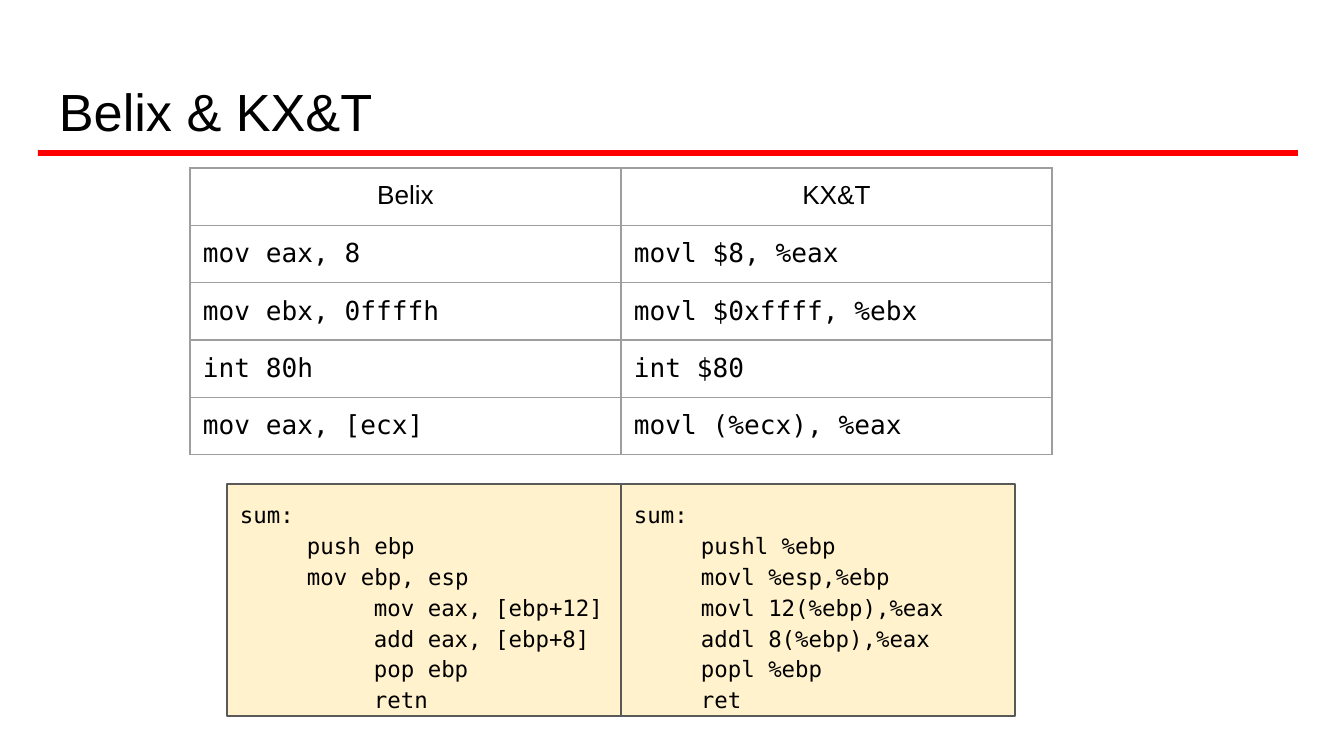
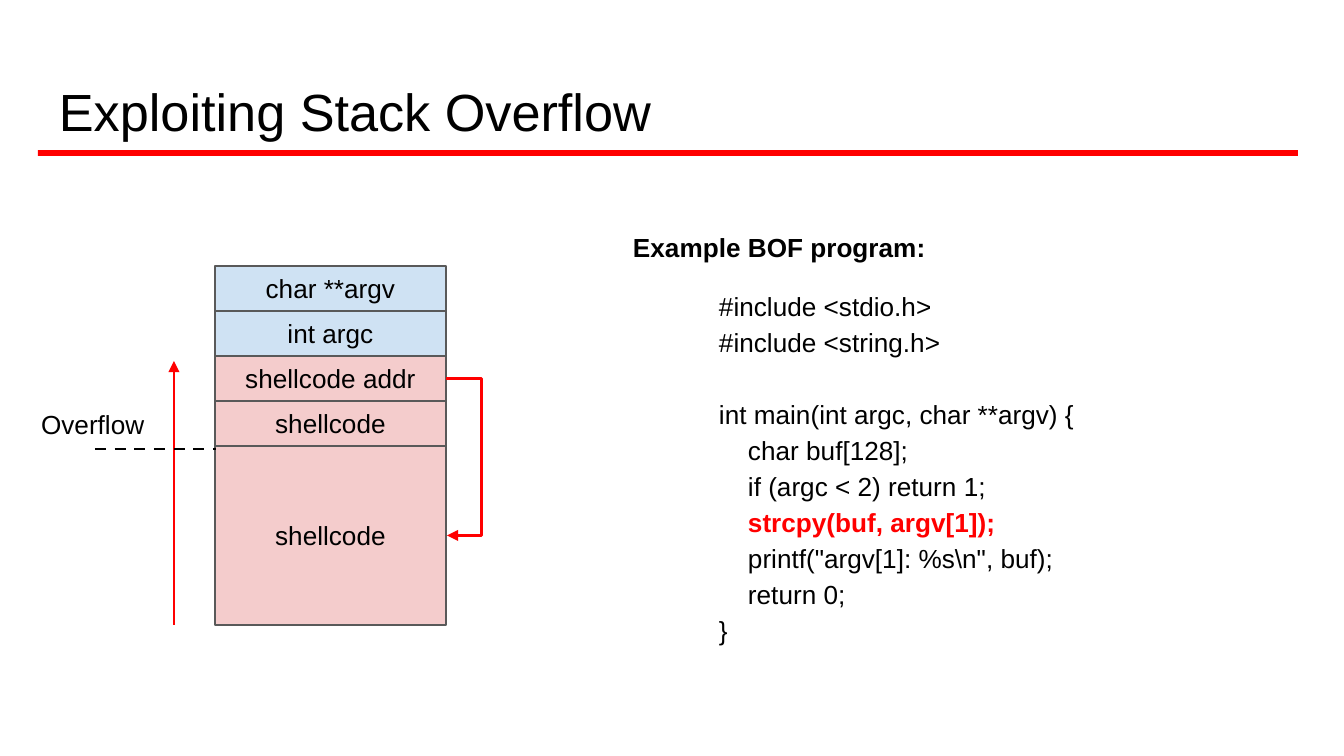
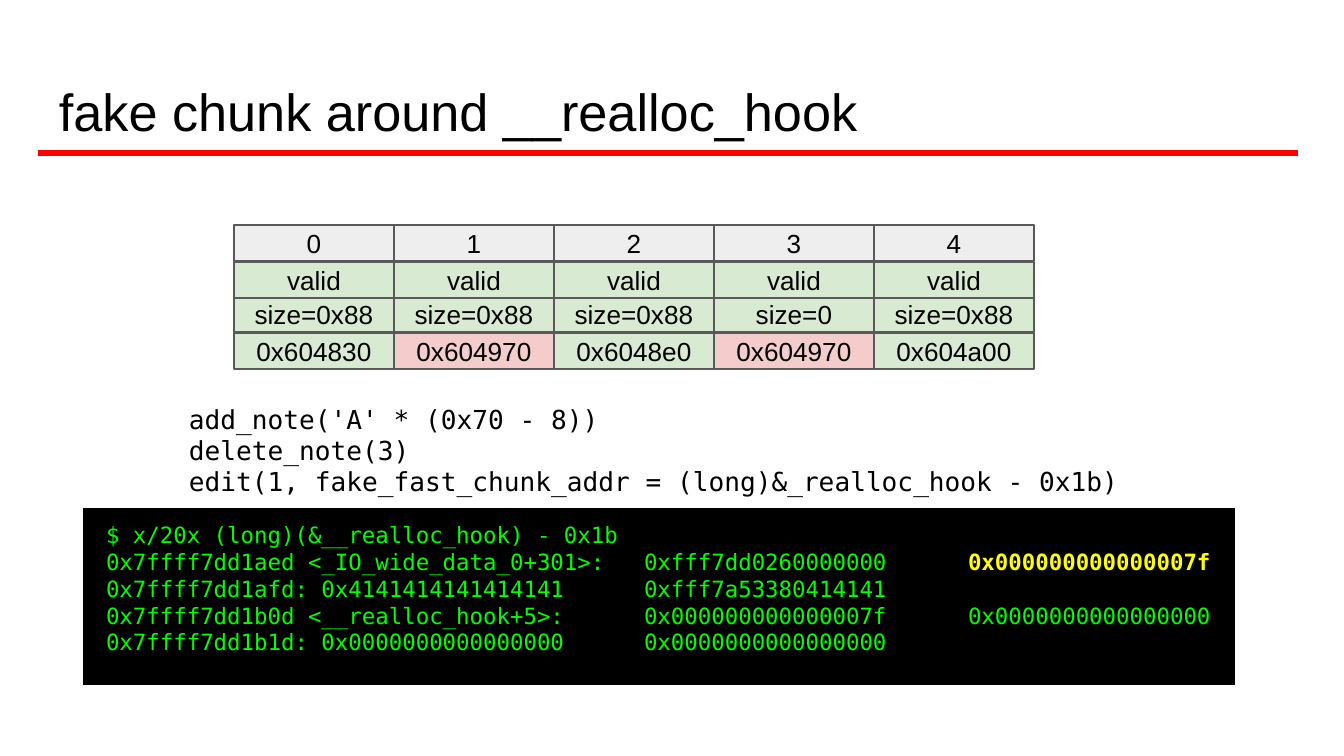
from dataclasses import dataclass

import lxml.etree
import pptx
import pptx.dml.color
import pptx.enum.dml
import pptx.enum.shapes
import pptx.enum.text
import pptx.oxml.ns
import pptx.util

ALIGN = pptx.enum.text.PP_ALIGN
ANCHOR = pptx.enum.text.MSO_ANCHOR
CONNECTOR = pptx.enum.shapes.MSO_CONNECTOR
EMU_PER_PX = 9144000 / 1344
qn = pptx.oxml.ns.qn


@dataclass(frozen=True)
class Theme:
    black: str = "000000"
    red: str = "FF0000"
    border: str = "595959"
    grid: str = "9E9E9E"
    cream: str = "FFF2CC"
    blue: str = "CFE2F3"
    pink: str = "F4CCCC"
    green: str = "D9EAD3"
    grey: str = "EEEEEE"
    terminal: str = "00FF00"
    highlight: str = "FFFF00"
    sans: str = "Arial"
    mono: str = "DejaVu Sans Mono"
    title: int = 28
    body: int = 14
    code: int = 12
    thin: float = 0.75
    arrow: float = 1.5
    inset: int = 13


THEME = Theme()


@dataclass
class Line:
    text: str
    indent: int = 0
    strong: str = ""
    before: int = 0


def px(length):
    return pptx.util.Emu(round(length * EMU_PER_PX))


def rgb(color):
    return pptx.dml.color.RGBColor.from_string(color)


def style_run(run, font, size, color, bold=False):
    run.font.name = font
    run.font.size = pptx.util.Pt(size)
    run.font.color.rgb = rgb(color)
    run.font.bold = bold


def add_tab_stops(paragraph, stops):
    tabs = lxml.etree.SubElement(paragraph._p.get_or_add_pPr(), qn("a:tabLst"))
    for stop in stops:
        lxml.etree.SubElement(tabs, qn("a:tab"), pos=str(px(stop)), algn="l")


def write(frame, lines, font=THEME.sans, size=THEME.body, color=THEME.black,
          bold=False, align=ALIGN.LEFT, anchor=ANCHOR.TOP, spacing=None,
          strong_color=THEME.red, tab_stops=(), left=THEME.inset, bottom=THEME.inset):
    frame.word_wrap = True
    frame.vertical_anchor = anchor
    frame.margin_left, frame.margin_bottom = px(left), px(bottom)
    frame.margin_top = frame.margin_right = px(THEME.inset)
    for index, line in enumerate(lines):
        paragraph = frame.add_paragraph() if index else frame.paragraphs[0]
        paragraph.text = line.text
        paragraph.alignment = align
        if spacing:
            paragraph.line_spacing = spacing
        if line.before:
            paragraph.space_before = px(line.before)
        if line.indent:
            properties = paragraph._p.get_or_add_pPr()
            properties.set("marL", str(px(line.indent)))
            properties.set("indent", "0")
        if tab_stops:
            add_tab_stops(paragraph, tab_stops)
        for run in paragraph.runs:
            style_run(run, font, size, color, bold)
        if line.strong:
            strong = paragraph.add_run()
            strong.text = line.strong
            style_run(strong, font, size, strong_color, True)


def add_text(slide, box, lines, **style):
    text = slide.shapes.add_textbox(*map(px, box))
    write(text.text_frame, lines, **style)


def add_box(slide, box, fill, lines=(), border=THEME.border, **style):
    block = slide.shapes.add_shape(
        pptx.enum.shapes.MSO_SHAPE.RECTANGLE, *map(px, box))
    block.shadow.inherit = False
    block.fill.solid()
    block.fill.fore_color.rgb = rgb(fill)
    if border:
        block.line.color.rgb = rgb(border)
        block.line.width = pptx.util.Pt(THEME.thin)
    else:
        block.line.fill.background()
    write(block.text_frame, lines, **style)
    return block


def add_label_box(slide, box, fill, label):
    return add_box(slide, box, fill, [Line(label)],
                   align=ALIGN.CENTER, anchor=ANCHOR.MIDDLE)


def style_connector(connector, color, arrow=False, dashed=False):
    connector.line.color.rgb = rgb(color)
    connector.line.width = pptx.util.Pt(THEME.arrow)
    if dashed:
        connector.line.dash_style = pptx.enum.dml.MSO_LINE.DASH
    if arrow:
        lxml.etree.SubElement(connector.line._get_or_add_ln(), qn("a:tailEnd"),
                              type="triangle")
    lxml.etree.SubElement(connector._element.spPr, qn("a:effectLst"))


def add_line(slide, start, end, color, **style):
    line = slide.shapes.add_connector(CONNECTOR.STRAIGHT, *map(px, start + end))
    style_connector(line, color, **style)


def add_return_arrow(slide, source, target, reach):
    right = source.left + source.width
    jump = slide.shapes.add_connector(
        CONNECTOR.ELBOW, right, source.top, right + px(1), target.top + target.height)
    jump.begin_connect(source, 3)
    jump.end_connect(target, 3)
    jump.width = px(1)
    guides = jump._element.spPr.find(qn("a:prstGeom")).find(qn("a:avLst"))
    lxml.etree.SubElement(guides, qn("a:gd"), name="adj1", fmla=f"val {reach * 100000}")
    style_connector(jump, THEME.red, arrow=True)


def add_cell_borders(cell):
    properties = cell._tc.get_or_add_tcPr()
    for side in ("lnL", "lnR", "lnT", "lnB"):
        edge = lxml.etree.SubElement(properties, qn(f"a:{side}"),
                                     w=str(pptx.util.Pt(THEME.thin)))
        fill = lxml.etree.SubElement(edge, qn("a:solidFill"))
        lxml.etree.SubElement(fill, qn("a:srgbClr"), val=THEME.grid)


def add_syntax_table(slide, left, top, column_width, row_height, rows):
    columns = len(rows[0])
    table = slide.shapes.add_table(
        len(rows), columns, px(left), px(top),
        px(column_width * columns), px(row_height * len(rows))).table
    table.first_row = table.horz_banding = False
    for row_index, row in enumerate(rows):
        header = row_index == 0
        for column_index, text in enumerate(row):
            cell = table.cell(row_index, column_index)
            write(cell.text_frame, [Line(text)],
                  font=THEME.sans if header else THEME.mono,
                  align=ALIGN.CENTER if header else ALIGN.LEFT)
            cell.margin_left = cell.margin_right = px(THEME.inset)
            cell.margin_top = cell.margin_bottom = px(THEME.inset)
            add_cell_borders(cell)
            cell.fill.background()


def add_titled_slide(deck, title):
    slide = deck.slides.add_slide(deck.slide_layouts[6])
    add_box(slide, (38, 150, 1260, 6), THEME.red, border=None)
    add_text(slide, (46, 66, 1253, 85), [Line(title)], size=THEME.title,
             anchor=ANCHOR.BOTTOM, bottom=9)
    return slide


def build_syntax_slide(deck):
    slide = add_titled_slide(deck, "Belix & KX&T")
    add_syntax_table(slide, 190, 168, 431, 50, [
        ("Belix", "KX&T"),
        ("mov eax, 8", "movl $8, %eax"),
        ("mov ebx, 0ffffh", "movl $0xffff, %ebx"),
        ("int 80h", "int $80"),
        ("mov eax, [ecx]", "movl (%ecx), %eax"),
    ])
    tab = 67
    listings = [
        [(0, "sum:"), (1, "push ebp"), (1, "mov ebp, esp"),
         (2, "mov eax, [ebp+12]"), (2, "add eax, [ebp+8]"),
         (2, "pop ebp"), (2, "retn")],
        [(0, "sum:"), (1, "pushl %ebp"), (1, "movl %esp,%ebp"),
         (1, "movl 12(%ebp),%eax"), (1, "addl 8(%ebp),%eax"),
         (1, "popl %ebp"), (1, "ret")],
    ]
    width = 394
    for index, listing in enumerate(listings):
        add_box(slide, (227 + index * width, 484, width, 232), THEME.cream,
                [Line(text, level * tab) for level, text in listing],
                font=THEME.mono, size=THEME.code, spacing=1.15)


def build_overflow_slide(deck):
    slide = add_titled_slide(deck, "Exploiting Stack Overflow")
    step = 29
    add_text(slide, (706, 273, 563, 396), [
        Line("#include <stdio.h>"),
        Line("#include <string.h>"),
        Line("int main(int argc, char **argv) {", before=36),
        Line("char buf[128];", step),
        Line("if (argc < 2) return 1;", step),
        Line("", step, strong="strcpy(buf, argv[1]);"),
        Line('printf("argv[1]: %s\\n", buf);', step),
        Line("return 0;", step),
        Line("}"),
    ], spacing=1.15)
    add_text(slide, (620, 228, 367, 38), [Line("Example BOF program:")],
             bold=True, anchor=ANCHOR.MIDDLE)

    stack = []
    top = 266
    for label, fill, height in [
        ("char **argv", THEME.blue, 45),
        ("int argc", THEME.blue, 45),
        ("shellcode addr", THEME.pink, 45),
        ("shellcode", THEME.pink, 45),
        ("shellcode", THEME.pink, 179),
    ]:
        stack.append(add_label_box(slide, (215, top, 231, height), fill, label))
        top += height
    add_return_arrow(slide, stack[2], stack[4], 35)
    add_line(slide, (174, top), (174, 361), THEME.red, arrow=True)
    add_line(slide, (95, 449), (216, 449), THEME.black, dashed=True)
    add_text(slide, (28, 395, 130, 46), [Line("Overflow")])


def build_fake_chunk_slide(deck):
    slide = add_titled_slide(deck, "fake chunk around __realloc_hook")
    add_text(slide, (176, 390, 1039, 242), [
        Line("add_note('A' * (0x70 - 8))"),
        Line("delete_note(3)"),
        Line("edit(1, fake_fast_chunk_addr = (long)&_realloc_hook - 0x1b)"),
    ], font=THEME.mono)

    shared_chunk = "0x604970"
    width = 160
    for top, fill, notes in [
        (225, THEME.grey, "0 1 2 3 4"),
        (296, THEME.green, "size=0x88 size=0x88 size=0x88 size=0 size=0x88"),
        (333, THEME.green, "0x604830 0x604970 0x6048e0 0x604970 0x604a00"),
        (262, THEME.green, "valid valid valid valid valid"),
    ]:
        for index, note in enumerate(notes.split()):
            add_label_box(slide, (234 + index * width, top, width, 36),
                          THEME.pink if note == shared_chunk else fill, note)

    add_box(slide, (83, 508, 1152, 177), THEME.black, [
        Line("$ x/20x (long)(&__realloc_hook) - 0x1b"),
        Line("0x7ffff7dd1aed <_IO_wide_data_0+301>:\t0xfff7dd0260000000\t",
             strong="0x000000000000007f"),
        Line("0x7ffff7dd1afd: 0x4141414141414141\t0xfff7a53380414141"),
        Line("0x7ffff7dd1b0d <__realloc_hook+5>:\t0x000000000000007f\t0x0000000000000000"),
        Line("0x7ffff7dd1b1d: 0x0000000000000000\t0x0000000000000000"),
    ], border=None, font=THEME.mono, size=THEME.code, color=THEME.terminal,
        strong_color=THEME.highlight, tab_stops=(538, 862), left=23)


def main():
    deck = pptx.Presentation()
    deck.slide_width, deck.slide_height = px(1344), px(756)
    build_syntax_slide(deck)
    build_overflow_slide(deck)
    build_fake_chunk_slide(deck)
    deck.save("out.pptx")


if __name__ == "__main__":
    main()
